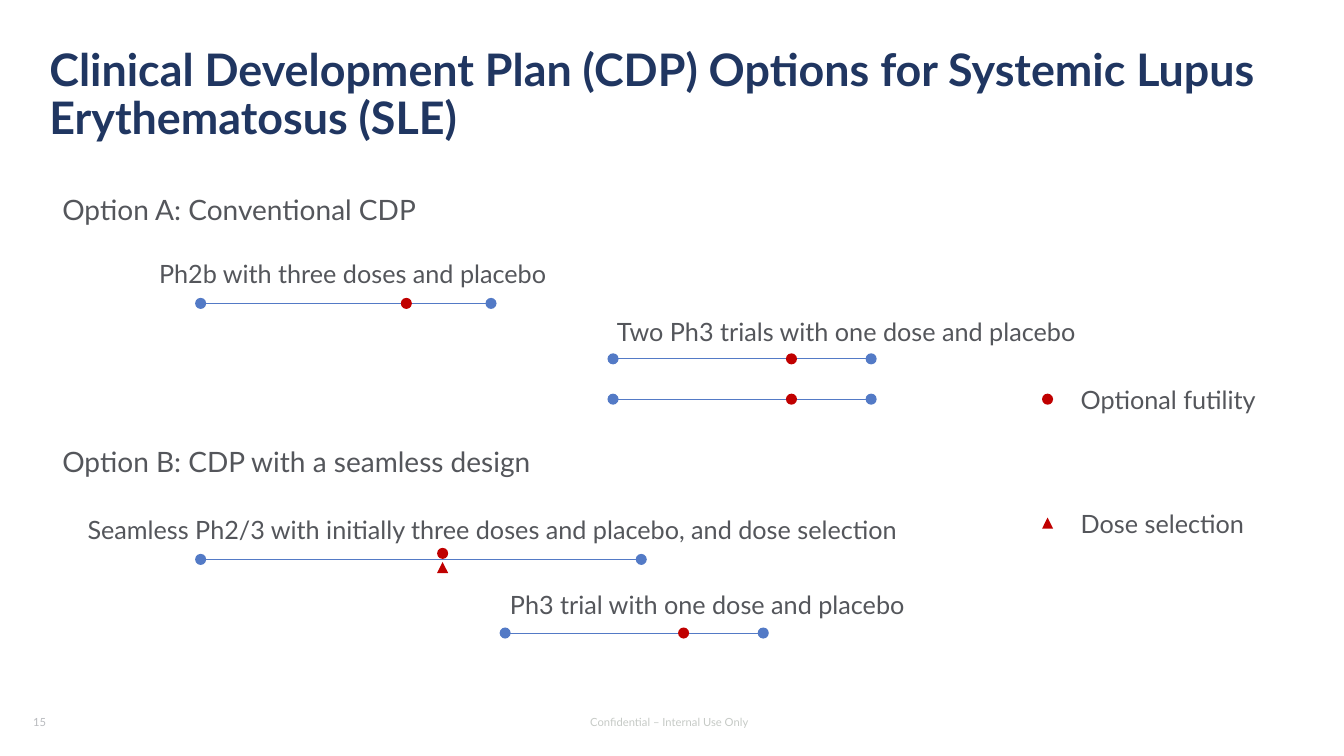
from lxml import etree
from pptx import Presentation
from pptx.dml.color import RGBColor
from pptx.enum.shapes import MSO_CONNECTOR as CONN, MSO_SHAPE as SHAPE
from pptx.enum.text import MSO_ANCHOR as ANCHOR, PP_ALIGN as ALIGN
from pptx.oxml.ns import qn
from pptx.util import Inches, Pt

NAVY = RGBColor(0x20, 0x36, 0x61)
GREY = RGBColor(0x54, 0x56, 0x5B)
BLUE = RGBColor(0x53, 0x7A, 0xC6)
RED = RGBColor(0xC0, 0x00, 0x00)
FOOTER_GREY = RGBColor(0xC6, 0xCA, 0xC6)
NUMBER_GREY = RGBColor(0xB9, 0xBB, 0xBF)

# Grid of 0.1 inch cells: 133.3 columns by 75 rows
COLS, ROWS = 133.3, 75
MARKER = 1.1
PH3_LENGTH, PH3_FUTILITY = 25.6, 17.7
LEGEND_MARKER, LEGEND_TEXT = 103.9, 106.2

TITLE = dict(size=Pt(32), bold=True, color=NAVY)
HEADING = dict(size=Pt(20), color=GREY)
LABEL = dict(size=Pt(18), color=GREY)
FOOTER = dict(size=Pt(8), color=FOOTER_GREY)
NUMBER = dict(size=Pt(8), color=NUMBER_GREY)


def cells(*values):
    return [Inches(value / 10) for value in values]


def add_text(slide, text, box, style, spacing=1.0, **frame):
    """Text in a box given as left, top, width, height."""
    tf = slide.shapes.add_textbox(*cells(*box)).text_frame
    tf.word_wrap = True
    align = frame.pop("align", ALIGN.LEFT)
    for name, value in frame.items():
        setattr(tf, name, value)
    p = tf.paragraphs[0]
    p.alignment, p.line_spacing = align, spacing
    r = p.add_run()
    r.text = text
    r.font.name = "Lato"
    for name, value in style.items():
        if name == "color":
            r.font.color.rgb = value
        else:
            setattr(r.font, name, value)


def add_marker(slide, x, y, color, kind=SHAPE.OVAL):
    """Small marker centred on x, y."""
    corner = x - MARKER / 2, y - MARKER / 2
    sp = slide.shapes.add_shape(kind, *cells(*corner, MARKER, MARKER))
    sp.shadow.inherit = False
    sp.fill.solid()
    sp.fill.fore_color.rgb = color
    sp.line.fill.background()


def add_trial(slide, start, length, y, futility=None):
    """Trial line with end dots and an optional futility look."""
    end = start + length
    line = slide.shapes.add_connector(CONN.STRAIGHT, *cells(start, y, end, y))
    line.line.color.rgb = BLUE
    line.line.width = Pt(0.5)
    etree.SubElement(line._element.spPr, qn("a:effectLst"))
    for x in (start, end):
        add_marker(slide, x, y, BLUE)
    if futility is not None:
        add_marker(slide, start + futility, y, RED)


def add_legend(slide, text, y, kind):
    add_marker(slide, LEGEND_MARKER, y, RED, kind)
    add_text(slide, text, (LEGEND_TEXT, y - 2, 21.3, 4), LABEL)


def main():
    prs = Presentation()
    prs.slide_width, prs.slide_height = cells(COLS, ROWS)
    slide = prs.slides.add_slide(prs.slide_layouts[6])

    # Title
    add_text(slide, "Clinical Development Plan (CDP) Options for Systemic Lupus "
             "Erythematosus (SLE)", (4.9, 4.7, 123.2, 9.6), TITLE, 0.9,
             margin_left=0, margin_right=0, margin_top=0, margin_bottom=0)

    # Option A
    add_text(slide, "Option A: Conventional CDP", (5.2, 16.9, 80, 6), HEADING, 1.5)
    add_text(slide, "Ph2b with three doses and placebo", (14.8, 25.1, 66.7, 4), LABEL)
    add_trial(slide, 19.9, 28.8, 30.1, 20.4)
    add_text(slide, "Two Ph3 trials with one dose and placebo",
             (60.2, 30.9, 48.9, 4), LABEL)
    for y in (35.6, 39.6):
        add_trial(slide, 60.8, PH3_LENGTH, y, PH3_FUTILITY)

    # Option B
    add_text(slide, "Option B: CDP with a seamless design",
             (5.2, 41.9, 80, 6), HEADING, 1.5)
    add_text(slide, "Seamless Ph2/3 with initially three doses and placebo, "
             "and dose selection", (7.7, 49, 90.7, 5), LABEL, 1.5)
    add_trial(slide, 19.9, 43.7, 55.5)
    add_marker(slide, 43.9, 54.9, RED)
    add_marker(slide, 43.9, 56.3, RED, SHAPE.ISOSCELES_TRIANGLE)
    add_text(slide, "Ph3 trial with one dose and placebo", (49.6, 58, 44.6, 4), LABEL)
    add_trial(slide, 50.1, PH3_LENGTH, 62.8, PH3_FUTILITY)

    # Legend
    add_legend(slide, "Optional futility", 39.6, SHAPE.OVAL)
    add_legend(slide, "Dose selection", 51.9, SHAPE.ISOSCELES_TRIANGLE)

    # Footer
    add_text(slide, "Confidential – Internal Use Only", (51.4, 70, 30, 3.2), FOOTER,
             align=ALIGN.CENTER, vertical_anchor=ANCHOR.MIDDLE)
    add_text(slide, "15", (2.3, 70, 30, 3.2), NUMBER, vertical_anchor=ANCHOR.MIDDLE)

    prs.save("out.pptx")


if __name__ == "__main__":
    main()
